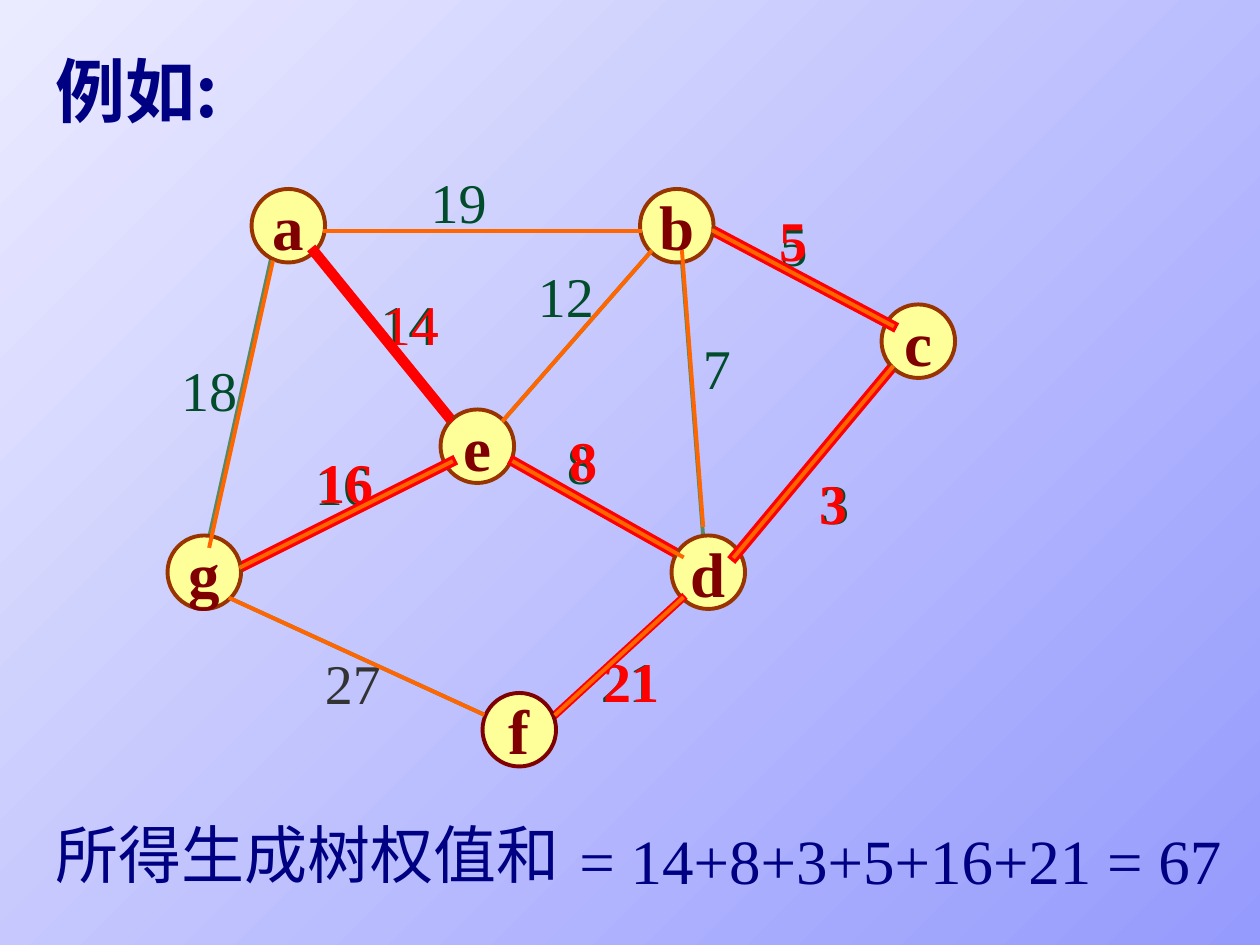
from dataclasses import dataclass

from lxml import etree
from pptx import Presentation
from pptx.dml.color import RGBColor
from pptx.enum.shapes import MSO_CONNECTOR, MSO_SHAPE
from pptx.enum.text import MSO_ANCHOR, MSO_AUTO_SIZE, PP_ALIGN
from pptx.oxml.ns import qn
from pptx.util import Inches, Pt

LINE = MSO_CONNECTOR.STRAIGHT
OVAL = MSO_SHAPE.OVAL
TOP, MIDDLE = MSO_ANCHOR.TOP, MSO_ANCHOR.MIDDLE
LEFT, CENTER = PP_ALIGN.LEFT, PP_ALIGN.CENTER
FIT, FIXED = MSO_AUTO_SIZE.SHAPE_TO_FIT_TEXT, MSO_AUTO_SIZE.NONE


@dataclass(frozen=True)
class Theme:
    """Colours, fonts and sizes of the slide."""
    dark: str = "959AFD"
    light: str = "EBEBFF"
    navy: str = "000082"
    green: str = "004C2B"
    grey: str = "333333"
    moss: str = "578963"
    orange: str = "FF6600"
    red: str = "FF0000"
    cream: str = "FFFF99"
    brown: str = "993300"
    wine: str = "800000"
    serif: str = "Times New Roman"
    sans: str = "Noto Sans CJK SC"
    title: int = 40
    large: int = 36
    label: int = 32
    thin: float = 2.25
    mid: float = 4.5
    thick: float = 6


T = Theme()
UNIT = 1 / 12
NODE = 7 * UNIT

NODES = {"a": (8, 0), "e": (26, 21), "d": (48, 33), "c": (68, 11),
         "b": (45, 0), "g": (0, 33), "f": (30, 48)}

EDGES = {
    "ab": (15, 4, 45, 4), "ae": (14, 6, 27, 22), "be": (46, 6, 32, 22),
    "ag": (10, 6, 4, 33), "ge": (7, 36, 27, 26), "ed": (33, 26, 49, 35),
    "bc": (52, 4, 69, 13), "cd": (69, 17, 54, 35), "bd": (49, 7, 51, 33),
    "gf": (6, 39, 30, 50), "df": (49, 39, 37, 50),
}

COSTS = {
    "ab": ("19", 1.99, -0.22), "bc": ("5", 4.76, 0.12),
    "ae": ("14", 1.59, 0.75), "ag": ("18", 0.01, 1.27),
    "gf": ("27", 1.15, 3.6), "ge": ("16", 1.07, 2.02),
    "ed": ("8", 3.07, 1.85), "df": ("21", 3.34, 3.58),
    "cd": ("3", 5.09, 2.17), "be": ("12", 2.84, 0.53),
    "bd": ("7", 4.15, 1.1),
}

TREE = [("e", "ae"), ("d", "ed"), ("c", "cd"), ("b", "bc"), ("g", "ge"), ("f", "df")]
MARKS = {"ae": (0.02, 0), "ed": (0.02, -0.02), "bc": (0, -0.04),
         "cd": (-0.01, 0), "ge": (0.02, -0.02), "df": (0.02, 0)}
DRIFT = {"ag": 1, "bd": -1}


def rgb(code):
    """Turn a hex code into a colour."""
    return RGBColor.from_string(code)


def write(shape, text, size=T.label, color=T.green, face=T.serif, bold=False,
          align=LEFT, anchor=TOP, fit=FIT):
    """Put formatted text into a shape."""
    frame = shape.text_frame
    frame.word_wrap = False
    frame.auto_size = fit
    frame.vertical_anchor = anchor
    para = frame.paragraphs[0]
    para.alignment = align
    run = para.add_run()
    run.text = text
    font = run.font
    font.name, font.size, font.bold = face, Pt(size), bold
    font.color.rgb = rgb(color)
    east = etree.SubElement(run._r.get_or_add_rPr(), qn("a:ea"))
    east.set("typeface", T.sans)


def place(slide, text, box, **style):
    """Add a text box in the given box."""
    write(slide.shapes.add_textbox(*map(Inches, box)), text, **style)


def link(slide, box, edge, color, width=T.thin, drift=0):
    """Draw one edge of the graph with square ends."""
    left, top = box[:2]
    x1, y1, x2, y2 = EDGES[edge]
    ends = (left + x1 * UNIT, top + (y1 + drift) * UNIT,
            left + x2 * UNIT, top + (y2 + drift) * UNIT)
    line = slide.shapes.add_connector(LINE, *map(Inches, ends))
    line.line.color.rgb = rgb(color)
    line.line.width = Pt(width)
    props = line._element.spPr
    props.find(qn("a:ln")).set("cap", "sq")
    etree.SubElement(props, qn("a:effectLst"))


def node(slide, box, name, rim=T.brown):
    """Draw one named node of the graph."""
    x, y = NODES[name]
    spot = (box[0] + x * UNIT, box[1] + y * UNIT, NODE, NODE)
    disc = slide.shapes.add_shape(OVAL, *map(Inches, spot))
    disc.shadow.inherit = False
    disc.fill.solid()
    disc.fill.fore_color.rgb = rgb(T.cream)
    disc.line.color.rgb = rgb(rim)
    disc.line.width = Pt(T.thin)
    write(disc, name, size=T.large, color=T.wine, bold=True,
          align=CENTER, anchor=MIDDLE, fit=FIXED)


def cost(slide, box, edge, shift=(0, 0), **style):
    """Write the weight of one edge."""
    text, x, y = COSTS[edge]
    wide = 0.2 + 0.23 * len(text)
    spot = (box[0] + x + shift[0], box[1] + y + shift[1], wide, 0.64)
    place(slide, text, spot, **style)


def graph(slide, box):
    """Draw the weighted graph and its spanning tree."""
    for edge in EDGES:
        link(slide, box, edge, T.moss)
    for edge in COSTS:
        cost(slide, box, edge, color=T.grey if edge == "gf" else T.green)
    node(slide, box, "a")
    for name, edge in TREE:
        last = name == "f"
        link(slide, box, edge, T.red, T.mid if last else T.thick)
        node(slide, box, name, T.wine if last else T.brown)
    for edge, shift in MARKS.items():
        cost(slide, box, edge, shift, color=T.red, bold=edge != "ae")
    for edge in EDGES:
        tint = T.red if edge == "ae" else T.orange
        link(slide, box, edge, tint, drift=DRIFT.get(edge, 0))


def head(slide, box):
    """Place the title."""
    title = slide.shapes.title
    title.left, title.top, title.width, title.height = map(Inches, box)
    write(title, "例如:", size=T.title, color=T.navy, face=T.sans, bold=True)


def total(slide, box):
    """Write the sum of the tree weights."""
    left, top, wide, high = box
    style = {"size": T.large, "color": T.navy}
    place(slide, "所得生成树权值和", (left, top, 4.2, high), **style)
    place(slide, "= 14+8+3+5+16+21 = 67",
          (left + 4.16, top + 0.05, wide - 4.16, high), **style)


def ground(slide):
    """Fill the background with a slanted gradient."""
    fill = slide.background.fill
    fill.gradient()
    fill.gradient_angle = 135
    for stop, code in zip(fill.gradient_stops, (T.dark, T.light)):
        stop.color.rgb = rgb(code)


def main():
    """Build and save the slide."""
    deck = Presentation()
    deck.slide_width, deck.slide_height = Inches(10), Inches(7.5)
    slide = deck.slides.add_slide(deck.slide_layouts[5])
    ground(slide)
    head(slide, (0.34, 0.33, 1.72, 0.77))
    graph(slide, (1.33, 1.5, 6.25, 4.58))
    total(slide, (0.34, 6.42, 9.46, 0.7))
    deck.save("out.pptx")


if __name__ == "__main__":
    main()
